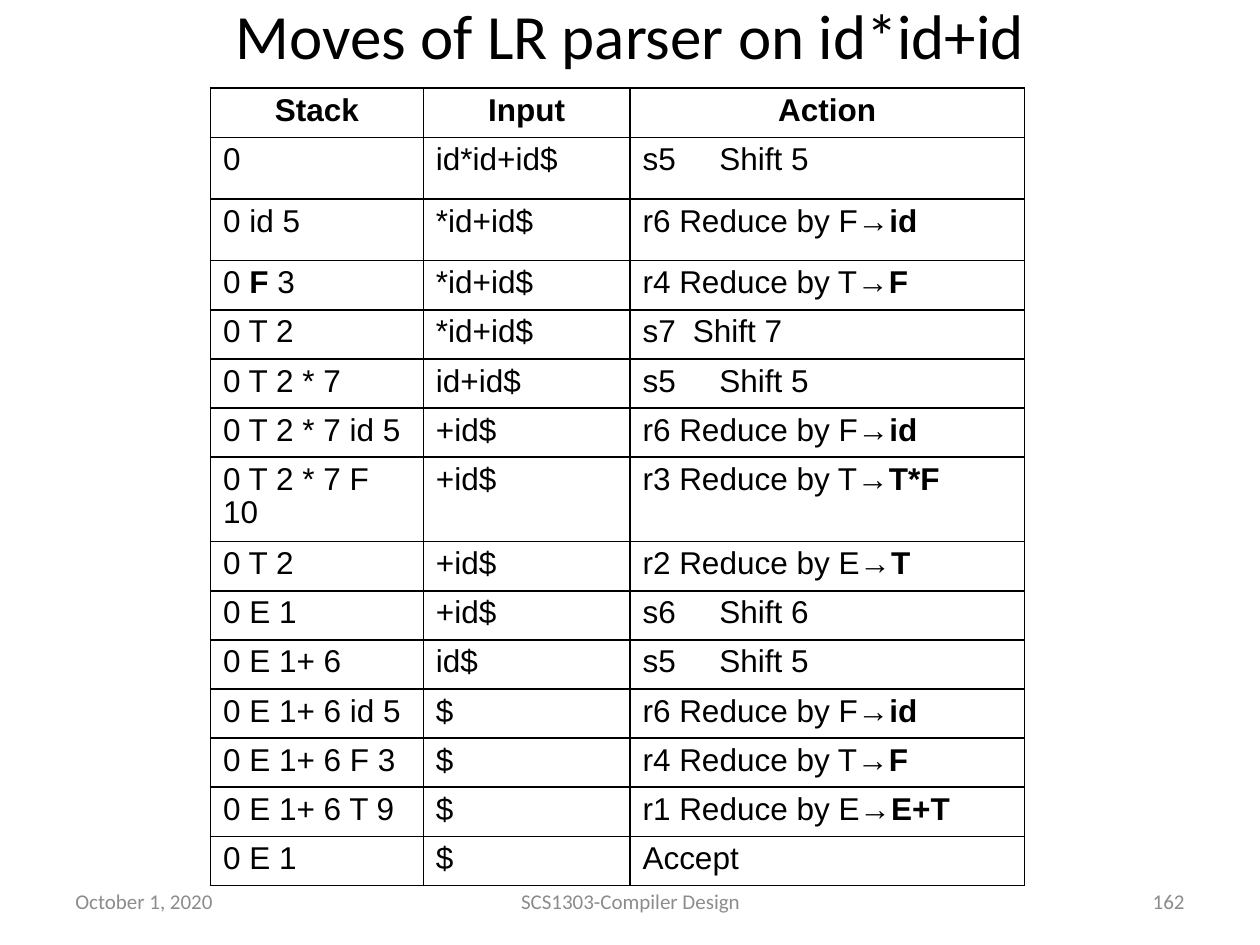
import pptx
import pptx.dml.color
import pptx.enum.text
import pptx.oxml
import pptx.oxml.ns
import pptx.util
from pptx.util import Inches

ALIGN = pptx.enum.text.PP_ALIGN
BLACK, WHITE, GRAY = "000000", "FFFFFF", "8C8C8C"

# text, left, top, width, height, size, colour, alignment
LABELS = [
    ("Moves of LR parser on id*id+id", 0.5, 0.08, 9, 0.39, 36, BLACK, ALIGN.CENTER),
    ("October 1, 2020", 0.5, 6.95, 2.33, 0.4, 12, GRAY, ALIGN.LEFT),
    ("SCS1303-Compiler Design", 3.42, 6.95, 3.17, 0.4, 12, GRAY, ALIGN.CENTER),
    ("162", 7.17, 6.95, 2.33, 0.4, 12, GRAY, ALIGN.RIGHT),
]

# A bar switches between regular and bold text
MOVES = [
    ("|Stack", "|Input", "|Action"),
    ("0", "id*id+id$", "s5\tShift 5"),
    ("0 id 5", "*id+id$", "r6 Reduce by F→|id"),
    ("0 |F |3", "*id+id$", "r4 Reduce by T→|F"),
    ("0 T 2", "*id+id$", "s7\tShift 7"),
    ("0 T 2 * 7", "id+id$", "s5\tShift 5"),
    ("0 T 2 * 7 id 5", "+id$", "r6 Reduce by F→|id"),
    ("0 T 2 * 7 F 10", "+id$", "r3 Reduce by T→|T*F"),
    ("0 T 2", "+id$", "r2 Reduce by E→|T"),
    ("0 E 1", "+id$", "s6\tShift 6"),
    ("0 E 1+ 6", "id$", "s5\tShift 5"),
    ("0 E 1+ 6 id 5", "$", "r6 Reduce by F→|id"),
    ("0 E 1+ 6 F 3", "$", "r4 Reduce by T→|F"),
    ("0 E 1+ 6 T 9", "$", "r1 Reduce by E→|E+T"),
    ("0 E 1", "$", "Accept"),
]
COLUMN_WIDTHS = [1.69, 1.64, 3.13]
ROW_HEIGHT = 0.39
TALL_ROWS = {1: 0.49, 2: 0.49}
LINE_SPACING = 0.95  # keeps the rows at their set height, clear of the footer
TAB_STOP = 0.61
NARROW_TAB_STOP = 0.4  # for the s7 move


def color(value):
    return pptx.dml.color.RGBColor.from_string(value)


def style(font, name, size, value, bold=False):
    font.name = name
    font.size = pptx.util.Pt(size)
    font.color.rgb = color(value)
    font.bold = bold


def add_label(slide, text, left, top, width, height, size, value, alignment):
    box = slide.shapes.add_textbox(*map(Inches, (left, top, width, height)))
    frame = box.text_frame
    frame.word_wrap = True
    frame.vertical_anchor = pptx.enum.text.MSO_ANCHOR.MIDDLE
    frame.text = text
    paragraph = frame.paragraphs[0]
    paragraph.alignment = alignment
    style(paragraph.runs[0].font, "Calibri", size, value)


def add_borders(cell):
    properties = cell._tc.get_or_add_tcPr()
    for side in "LRTB":
        properties.append(pptx.oxml.parse_xml(
            f'<a:ln{side} {pptx.oxml.ns.nsdecls("a")} w="{pptx.util.Pt(1)}">'
            f'<a:solidFill><a:srgbClr val="{BLACK}"/></a:solidFill></a:ln{side}>'))


def add_tab_stop(paragraph, position):
    paragraph._p.get_or_add_pPr().append(pptx.oxml.parse_xml(
        f'<a:tabLst {pptx.oxml.ns.nsdecls("a")}>'
        f'<a:tab pos="{Inches(position)}" algn="l"/></a:tabLst>'))


def fill_cell(cell, text, is_header):
    add_borders(cell)
    cell.fill.solid()
    cell.fill.fore_color.rgb = color(WHITE)
    cell.margin_top = cell.margin_bottom = Inches(0.05)
    paragraph = cell.text_frame.paragraphs[0]
    paragraph.alignment = ALIGN.CENTER if is_header else ALIGN.LEFT
    paragraph.line_spacing = LINE_SPACING
    if "\t" in text:
        add_tab_stop(paragraph, NARROW_TAB_STOP if text.startswith("s7") else TAB_STOP)
    for index, part in enumerate(text.split("|")):
        if part:
            run = paragraph.add_run()
            run.text = part
            style(run.font, "Arial", 18, BLACK, bold=index % 2 == 1)


def add_moves_table(slide):
    heights = [TALL_ROWS.get(index, ROW_HEIGHT) for index in range(len(MOVES))]
    table = slide.shapes.add_table(
        len(MOVES), len(COLUMN_WIDTHS), Inches(1.67), Inches(0.7),
        Inches(sum(COLUMN_WIDTHS)), Inches(sum(heights))).table
    table.horz_banding = False
    for column, width in zip(table.columns, COLUMN_WIDTHS):
        column.width = Inches(width)
    for index, (row, height, move) in enumerate(zip(table.rows, heights, MOVES)):
        row.height = Inches(height)
        for cell, text in zip(row.cells, move):
            fill_cell(cell, text, is_header=index == 0)


def main():
    presentation = pptx.Presentation()
    presentation.slide_width = Inches(10)
    presentation.slide_height = Inches(7.5)
    slide = presentation.slides.add_slide(presentation.slide_layouts[6])
    for label in LABELS:
        add_label(slide, *label)
    add_moves_table(slide)
    presentation.save("out.pptx")


if __name__ == "__main__":
    main()
